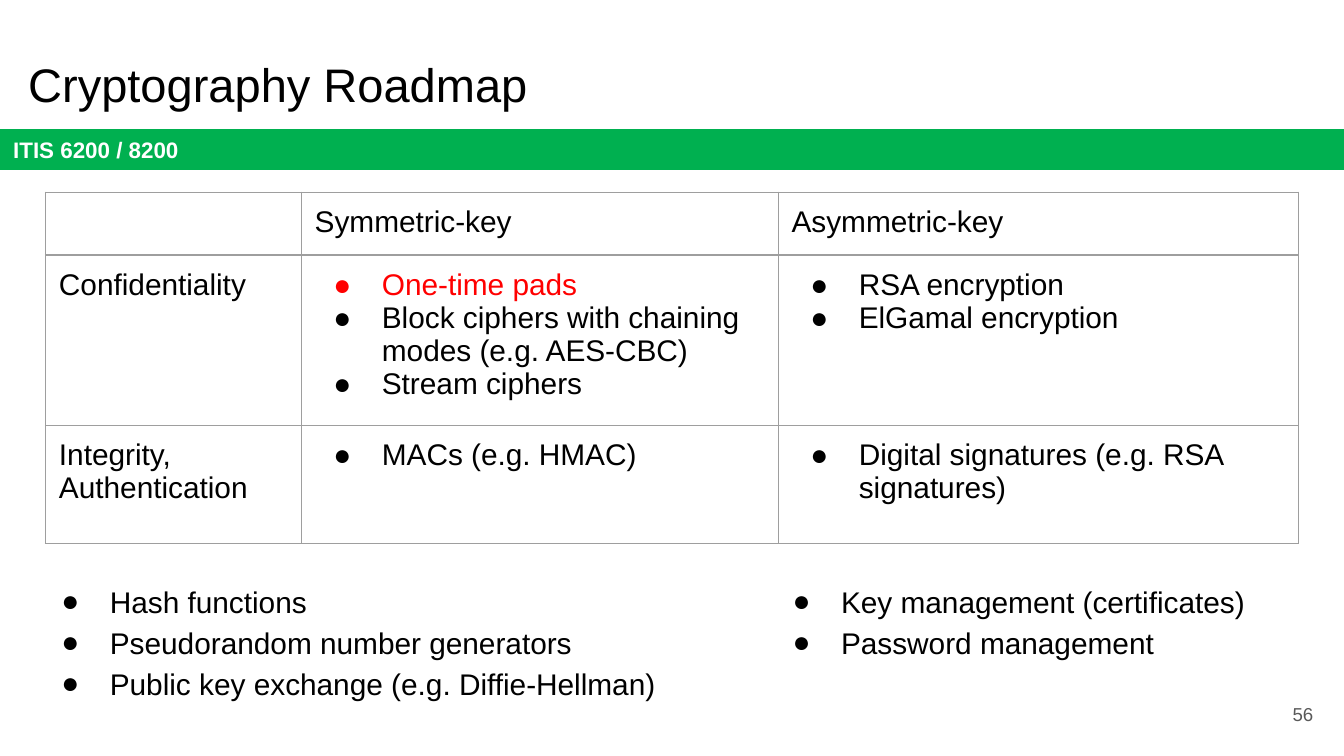
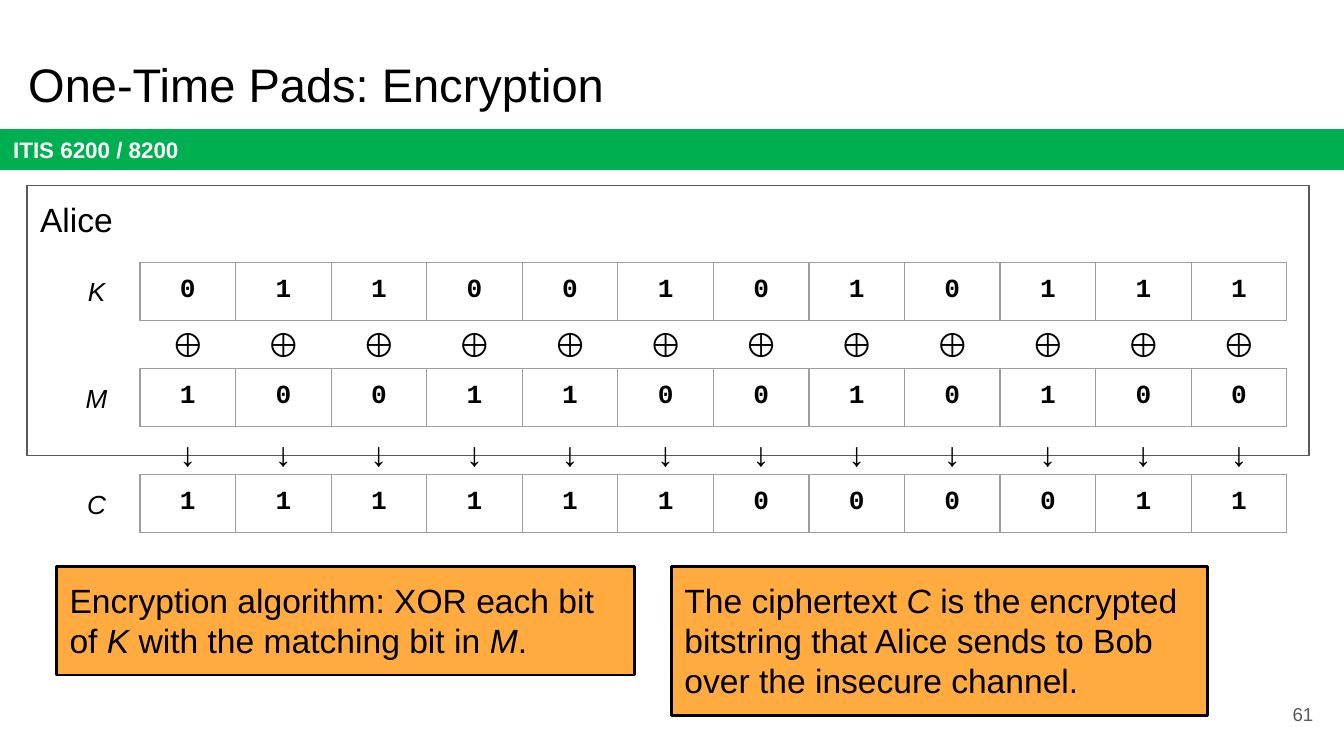
from lxml import etree
from pptx import Presentation
from pptx import util as u
from pptx.dml.color import RGBColor
from pptx.enum import shapes, text
from pptx.oxml import parse_xml
from pptx.oxml.ns import nsdecls, qn

COLORS = {
    "black": "000000", "white": "FFFFFF", "green": "00B050", "red": "FF0000",
    "orange": "FFAB40", "grey": "595959", "grid": "9E9E9E",
}
LEFT, CENTER, RIGHT = text.PP_ALIGN.LEFT, text.PP_ALIGN.CENTER, text.PP_ALIGN.RIGHT
TOP, MIDDLE, BOTTOM = text.MSO_ANCHOR.TOP, text.MSO_ANCHOR.MIDDLE, text.MSO_ANCHOR.BOTTOM
RECTANGLE = shapes.MSO_SHAPE.RECTANGLE
NO_GRID_STYLE = "{2D5ABB26-0587-4C30-8999-92F81FD0307C}"
INSET = u.Pt(7.2)


def write(holder, content, size, color="black", font="Arial", bold=False, align=LEFT,
          anchor=TOP, line_spacing=None, space_after=None, highlight=None):
    """Fill a text frame or cell: a list is bulleted, and *stars* mark italics."""
    holder.margin_left = holder.margin_right = INSET
    holder.margin_top = holder.margin_bottom = INSET
    holder.vertical_anchor = anchor
    frame = getattr(holder, "text_frame", holder)
    frame.word_wrap = True
    bulleted = isinstance(content, list)
    for index, line in enumerate(content if bulleted else [content]):
        paragraph = frame.paragraphs[0] if index == 0 else frame.add_paragraph()
        shade = COLORS["red" if line == highlight else color]
        if bulleted:
            properties = paragraph._p.get_or_add_pPr()
            properties.set("marL", str(u.Pt(36)))
            properties.set("indent", str(u.Pt(-26)))
            bullet_color = etree.SubElement(properties, qn("a:buClr"))
            etree.SubElement(bullet_color, qn("a:srgbClr"), val=shade)
            etree.SubElement(properties, qn("a:buFont"), typeface=font)
            etree.SubElement(properties, qn("a:buChar"), char="●")
        paragraph.alignment = align
        if line_spacing:
            paragraph.line_spacing = line_spacing
        if space_after:
            paragraph.space_after = u.Pt(space_after)
        if "*" in line:
            for number, part in enumerate(line.split("*")):
                if part:
                    run = paragraph.add_run()
                    run.text = part
                    run.font.italic = number % 2 == 1
        else:
            paragraph.text = line
        for run in paragraph.runs:
            run.font.size, run.font.name, run.font.bold = u.Pt(size), font, bold
            run.font.color.rgb = RGBColor.from_string(shade)


def add_grid(slide, left, top, widths, heights, rows, size, bordered=True, **style):
    """Add an unfilled table, with thin grey borders if bordered."""
    graphic = slide.shapes.add_table(len(rows), len(widths), u.Pt(left), u.Pt(top),
                                     u.Pt(sum(widths)), u.Pt(sum(heights)))
    graphic.element.xpath(".//a:tableStyleId")[0].text = NO_GRID_STYLE
    table = graphic.table
    table.first_row = table.horz_banding = False
    for column, width in zip(table.columns, widths):
        column.width = u.Pt(width)
    for row, height in zip(table.rows, heights):
        row.height = u.Pt(height)
    for row, contents in zip(table.rows, rows):
        for cell, content in zip(row.cells, contents):
            if content:
                write(cell, content, size, **style)
            for side in ("lnL", "lnR", "lnT", "lnB") if bordered else ():
                cell._tc.get_or_add_tcPr().append(parse_xml(
                    f'<a:{side} {nsdecls("a")} w="{u.Pt(0.75)}"><a:solidFill>'
                    f'<a:srgbClr val="{COLORS["grid"]}"/></a:solidFill></a:{side}>'))
            cell.fill.background()


presentation = Presentation()
presentation.slide_width, presentation.slide_height = u.Pt(720), u.Pt(405)
layout = presentation.slide_layouts[5]

# Shared parts: title, course band on the layout, page number
slides = []
for title, page in (("Cryptography Roadmap", "56"), ("One-Time Pads: Encryption", "61")):
    slide = presentation.slides.add_slide(layout)
    slides.append(slide)
    heading = slide.shapes.title
    heading.left, heading.top = u.Pt(7.9), u.Pt(21.6)
    heading.width, heading.height = u.Pt(671), u.Pt(45.4)
    write(heading.text_frame, title, 25.2, anchor=BOTTOM)
    number = slide.shapes.add_textbox(u.Pt(667.4), u.Pt(367.2), u.Pt(43.2), u.Pt(31))
    write(number.text_frame, page, 10, color="grey", align=RIGHT, anchor=MIDDLE)
roadmap, encryption = slides

band = roadmap.shapes.add_shape(RECTANGLE, 0, u.Pt(69.2), u.Pt(720), u.Pt(21.8))
band.shadow.inherit = False
band.fill.solid()
band.fill.fore_color.rgb = RGBColor.from_string(COLORS["green"])
band.line.fill.background()
write(band.text_frame, "ITIS 6200 / 8200", 12, color="white", bold=True, anchor=MIDDLE)
layout.shapes.element.append(band.element)

# Roadmap: table of schemes
add_grid(roadmap, 24.4, 103, [137, 255.5, 278.7], [29.5, 63.4, 63.4], [
    ["", "Symmetric-key", "Asymmetric-key"],
    ["Confidentiality",
     ["One-time pads", "Block ciphers with chaining modes (e.g. AES-CBC)", "Stream ciphers"],
     ["RSA encryption", "ElGamal encryption"]],
    ["Integrity,\vAuthentication",
     ["MACs (e.g. HMAC)"],
     ["Digital signatures (e.g. RSA signatures)"]],
], 16, highlight="One-time pads")

# Roadmap: further topics
for left, width, height, topics in (
    (15.8, 344, 92, ["Hash functions", "Pseudorandom number generators",
                     "Public key exchange (e.g. Diffie-Hellman)"]),
    (407.5, 271.5, 56, ["Key management (certificates)", "Password management"]),
):
    box = roadmap.shapes.add_textbox(u.Pt(left), u.Pt(302.4), u.Pt(width), u.Pt(height))
    write(box.text_frame, topics, 16, line_spacing=1.15)

# Encryption: Alice's side
alice = encryption.shapes.add_shape(RECTANGLE, u.Pt(14.4), u.Pt(99.4), u.Pt(687), u.Pt(144.6))
alice.shadow.inherit = False
alice.fill.background()
alice.line.color.rgb = RGBColor.from_string(COLORS["grey"])
alice.line.width = u.Pt(0.75)
label = encryption.shapes.add_textbox(u.Pt(14.4), u.Pt(99.4), u.Pt(60.5), u.Pt(36))
write(label.text_frame, "Alice", 18)

# Encryption: bit rows of key, message and ciphertext
BITS_LEFT, BITS_TOP, BITS_PITCH = 75, 140.6, 56.8
BIT_WIDTHS = [51.2] * 12
for index, (name, bits) in enumerate((
        ("K", "011001010111"), ("M", "100110010100"), ("C", "111111000011"))):
    top = BITS_TOP + index * BITS_PITCH
    add_grid(encryption, BITS_LEFT, top, BIT_WIDTHS, [31], [bits], 14,
             font="Courier New", bold=True, align=CENTER)
    label = encryption.shapes.add_textbox(u.Pt(30.2), u.Pt(top), u.Pt(43.2), u.Pt(31.7))
    write(label.text_frame, f"*{name}*", 14, align=CENTER)

# Encryption: operators between the rows
for top, symbol in ((164.9, "⊕"), (223.2, "↓")):
    add_grid(encryption, BITS_LEFT, top, BIT_WIDTHS, [31], [symbol * 12], 18,
             bordered=False, align=CENTER, line_spacing=1.15, space_after=12)

# Encryption: explanations
for left, width, height, note in (
    (30.2, 309.6, 58.3, "Encryption algorithm: XOR each bit of *K* with the matching bit in *M*."),
    (359.6, 287.5, 79.9, "The ciphertext *C* is the encrypted bitstring that Alice sends to Bob "
                         "over the insecure channel."),
):
    callout = encryption.shapes.add_shape(RECTANGLE, u.Pt(left), u.Pt(303.4),
                                          u.Pt(width), u.Pt(height))
    callout.shadow.inherit = False
    callout.fill.solid()
    callout.fill.fore_color.rgb = RGBColor.from_string(COLORS["orange"])
    callout.line.color.rgb = RGBColor.from_string(COLORS["black"])
    callout.line.width = u.Pt(1.5)
    write(callout.text_frame, note, 18)

presentation.save("out.pptx")
